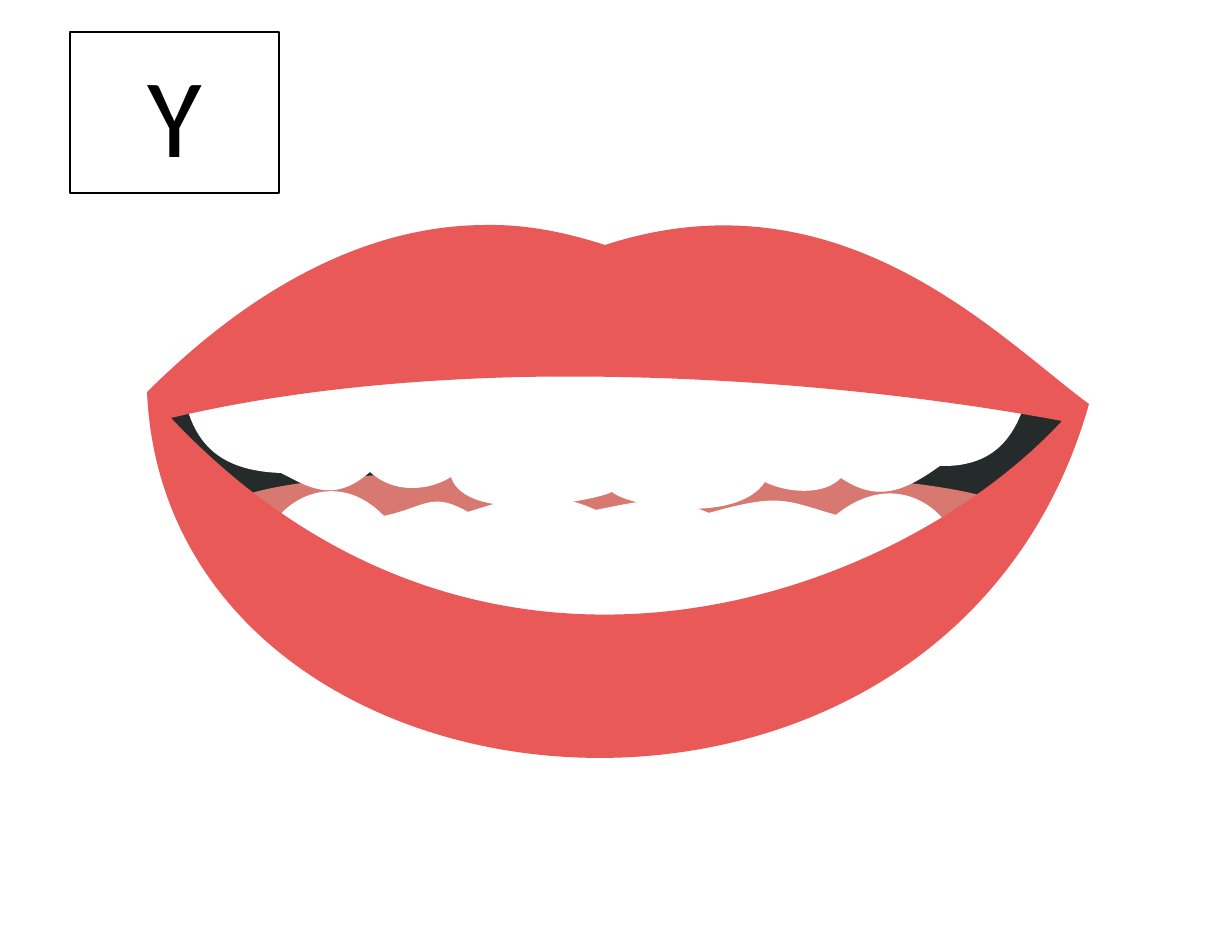
import lxml.etree
import pptx
import pptx.util
import pptx.dml.color
import pptx.enum.shapes
import pptx.enum.text
import pptx.oxml.ns

WHITE = pptx.dml.color.RGBColor(0xFF, 0xFF, 0xFF)
BLACK = pptx.dml.color.RGBColor(0x00, 0x00, 0x00)
MOUTH_DARK = pptx.dml.color.RGBColor(0x25, 0x2B, 0x2A)
TONGUE_PINK = pptx.dml.color.RGBColor(0xD7, 0x79, 0x71)
LIP_RED = pptx.dml.color.RGBColor(0xE9, 0x59, 0x58)

PAGE_WIDTH, PAGE_HEIGHT = 1232, 952
CURVE_STEPS = 32

# An outline is a start point, then lines (x, y) and
# Bézier curves (two control points and an end point).
MOUTH = [
    (158, 417),
    (454, 342, 831, 373, 1065, 420),
    (898, 615, 477, 781, 158, 417),
]
TONGUE = [
    (230, 502),
    (300, 454, 935, 458, 1008, 506),
    (1075, 552, 754, 674, 624, 673),
    (494, 672, 159, 551, 230, 502),
]
LOWER_TEETH = [
    (324, 591),
    (195, 585, 304, 433, 384, 516),
    (426, 507, 431, 491, 468, 512),
    (507, 500, 543, 486, 596, 510),
    (647, 500, 664, 494, 709, 513),
    (780, 493, 784, 500, 836, 515),
    (927, 441, 1008, 581, 923, 594),
    (673, 635, 534, 659, 324, 591),
]
UPPER_TEETH = [
    (503, 335),
    (696, 332, 850, 342, 1008, 363),
    (1035, 367),
    (1024, 408, 1015, 468, 940, 466),
    (905, 491, 878, 503, 841, 478),
    (824, 496, 787, 493, 765, 482),
    (737, 525, 629, 507, 612, 492),
    (598, 500, 467, 526, 451, 477),
    (436, 487, 399, 498, 370, 472),
    (333, 505, 307, 486, 281, 473),
    (189, 470, 189, 409, 177, 372),
    (217, 355),
    (310, 343, 407, 337, 503, 335),
]
LIPS_OUTER = [
    (484, 225),
    (522, 224, 562, 231, 605, 245),
    (841, 168, 999, 338, 1089, 404),
    (945, 913, 167, 841, 147, 392),
    (192, 348, 319, 226, 484, 225),
]
LIPS_OPENING = [
    (520, 377),
    (400, 380, 280, 392, 171, 418),
    (485, 750, 897, 599, 1062, 421),
    (918, 394, 720, 373, 520, 377),
]


def emu(px):
    return pptx.util.Emu(round(px * 914400 / 112))


def bounds(outline):
    """Return the smallest and largest x and y that the outline reaches."""
    points = [outline[0]]
    for segment in outline[1:]:
        if len(segment) == 2:
            points.append(segment)
            continue
        x0, y0 = points[-1]
        x1, y1, x2, y2, x3, y3 = segment
        for step in range(1, CURVE_STEPS + 1):
            t = step / CURVE_STEPS
            a, b, c, d = (1 - t) ** 3, 3 * t * (1 - t) ** 2, 3 * t * t * (1 - t), t ** 3
            points.append((a * x0 + b * x1 + c * x2 + d * x3,
                           a * y0 + b * y1 + c * y2 + d * y3))
    xs, ys = zip(*points)
    return emu(min(xs)), emu(min(ys)), emu(max(xs)), emu(max(ys))


class Artist:
    font_name = "Calibri"
    line_width = pptx.util.Pt(1)

    def __init__(self, page):
        self.page = page

    def rectangle(self, left, top, width, height, line_color):
        box = self.page.shapes.add_shape(
            pptx.enum.shapes.MSO_SHAPE.RECTANGLE,
            emu(left), emu(top), emu(width), emu(height))
        box.shadow.inherit = False
        box.fill.solid()
        box.fill.fore_color.rgb = WHITE
        box.line.color.rgb = line_color
        box.line.width = self.line_width
        return box

    def letter_card(self, left, top, width, height, letter, size):
        box = self.rectangle(left, top, width, height, BLACK)
        frame = box.text_frame
        frame.word_wrap = True
        frame.vertical_anchor = pptx.enum.text.MSO_ANCHOR.MIDDLE
        para = frame.paragraphs[0]
        para.text = letter
        para.alignment = pptx.enum.text.PP_ALIGN.CENTER
        para.font.name = self.font_name
        para.font.size = pptx.util.Pt(size)
        para.font.color.rgb = BLACK

    def group(self):
        return self.page.shapes.add_group_shape()

    def freeform(self, group, color, *outlines):
        """Frame the first outline, then draw every outline with true curves."""
        left, top, right, bottom = bounds(outlines[0])
        builder = group.shapes.build_freeform(left, top)
        builder.add_line_segments([(right, top), (right, bottom), (left, bottom)])
        shape = builder.convert_to_shape()
        shape.shadow.inherit = False
        shape.fill.solid()
        shape.fill.fore_color.rgb = color
        shape.line.fill.background()

        qn = pptx.oxml.ns.qn
        track = shape.element.find(".//" + qn("a:path"))
        for child in list(track):
            track.remove(child)
        for outline in outlines:
            for index, segment in enumerate(outline):
                curve_tag = "a:lnTo" if len(segment) == 2 else "a:cubicBezTo"
                tag = curve_tag if index else "a:moveTo"
                command = lxml.etree.SubElement(track, qn(tag))
                for x, y in zip(segment[::2], segment[1::2]):
                    lxml.etree.SubElement(command, qn("a:pt"),
                                          x=str(emu(x) - left), y=str(emu(y) - top))
            lxml.etree.SubElement(track, qn("a:close"))


def main():
    deck = pptx.Presentation()
    deck.slide_width = emu(PAGE_WIDTH)
    deck.slide_height = emu(PAGE_HEIGHT)
    artist = Artist(deck.slides.add_slide(deck.slide_layouts[6]))

    # Page background
    artist.rectangle(0, 0, PAGE_WIDTH, PAGE_HEIGHT, WHITE)

    # Mouth, from back to front
    mouth = artist.group()
    artist.freeform(mouth, MOUTH_DARK, MOUTH)
    artist.freeform(mouth, TONGUE_PINK, TONGUE)
    artist.freeform(mouth, WHITE, LOWER_TEETH)
    artist.freeform(mouth, WHITE, UPPER_TEETH)
    artist.freeform(mouth, LIP_RED, LIPS_OUTER, LIPS_OPENING)

    # Letter card
    artist.letter_card(70, 32, 209, 161, "Y", 72)

    deck.save("out.pptx")


if __name__ == "__main__":
    main()
